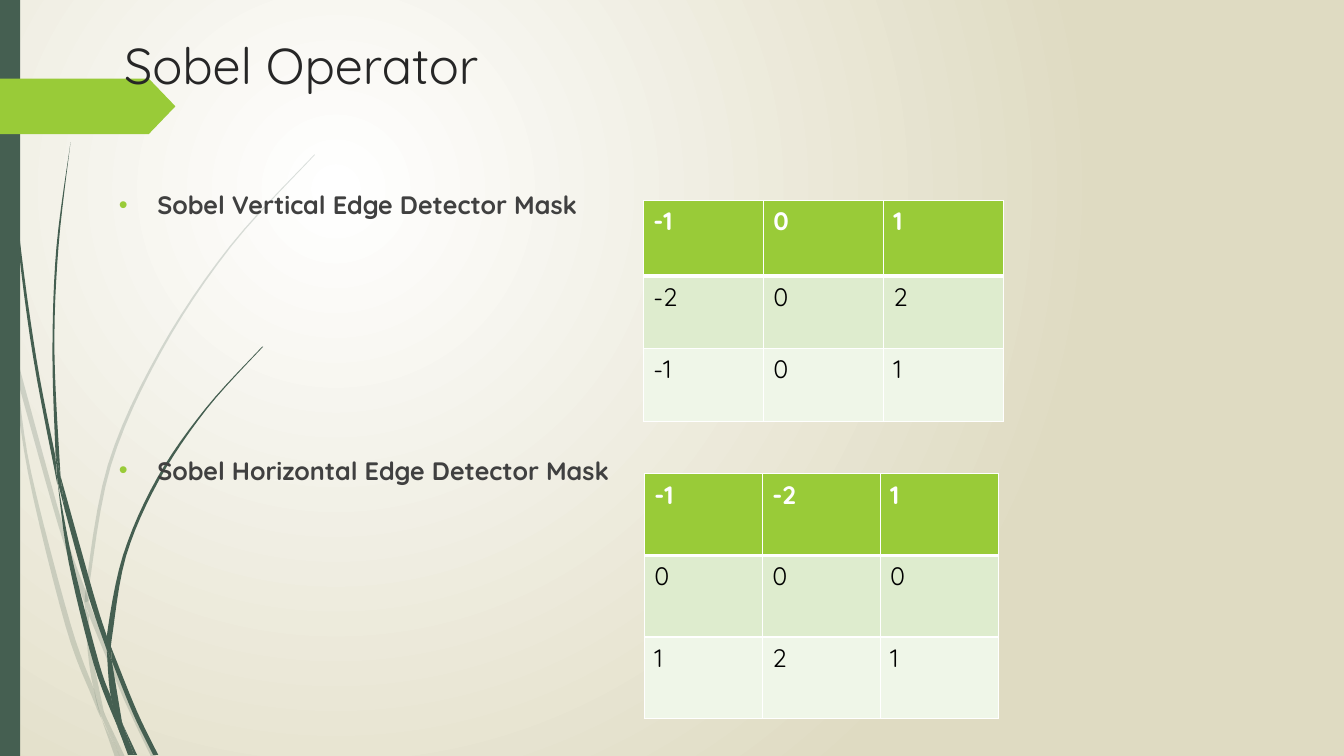
from dataclasses import dataclass

from lxml import etree
from pptx import Presentation
from pptx.dml.color import RGBColor
from pptx.enum.shapes import MSO_SHAPE
from pptx.enum.text import MSO_ANCHOR, MSO_AUTO_SIZE, PP_ALIGN
from pptx.oxml.ns import qn
from pptx.util import Inches, Pt

RECTANGLE, TAB = MSO_SHAPE.RECTANGLE, MSO_SHAPE.PENTAGON
TOP, LEFT, NO_FIT = MSO_ANCHOR.TOP, PP_ALIGN.LEFT, MSO_AUTO_SIZE.NONE


@dataclass(frozen=True)
class Theme:
    font: str = "Quicksand"
    title_size: int = 36
    text_size: int = 18
    title: str = "262626"
    body: str = "404040"
    black: str = "000000"
    white: str = "FFFFFF"
    sand: str = "DFDBC2"
    forest: str = "455F51"
    lime: str = "99CB38"
    light_band: str = "DEECCE"
    pale_band: str = "EFF6E8"


THEME = Theme()


def write(paragraph, text, size=THEME.text_size, color=THEME.body, bold=False):
    run = paragraph.add_run()
    run.text = text
    run.font.name = THEME.font
    run.font.size = Pt(size)
    run.font.bold = bold
    run.font.color.rgb = RGBColor.from_string(color)
    paragraph.alignment = LEFT


def smooth(knots, steps=6):
    """Points of a Catmull-Rom curve through the knots, in EMU."""
    padded = [knots[0], *knots, knots[-1]]
    points = []
    for a, b, c, d in zip(padded, padded[1:], padded[2:], padded[3:]):
        for t in (step / steps for step in range(steps)):
            points.append(tuple(
                Inches(q + t * (r - p + t * (2 * p - 5 * q + 4 * r - s
                                             + t * (3 * q - p - 3 * r + s))) / 2)
                for p, q, r, s in zip(a, b, c, d)))
    return points + [tuple(Inches(v) for v in knots[-1])]


prs = Presentation()
prs.slide_width, prs.slide_height = Inches(13.33), Inches(7.5)
slide = prs.slides.add_slide(prs.slide_layouts[1])
shapes = slide.shapes

# Background: glow centred in the upper left
glow = slide.background.fill
glow.gradient()
for stop, position, color in zip(glow.gradient_stops, (0, 1), (THEME.white, THEME.sand)):
    stop.position = position
    stop.color.rgb = RGBColor.from_string(color)
gradient = slide.element.find(".//" + qn("a:gradFill"))
gradient.remove(gradient.find(qn("a:lin")))
circle = etree.SubElement(gradient, qn("a:path"), path="circle")
etree.SubElement(circle, qn("a:fillToRect"), l="50000", t="50000", r="100000", b="100000")

# Grass: each blade section has one edge out and one edge back
pale_grass = [
    ([(0.11, 3.5), (0.09, 3.22), (0, 2.82)], [(0, 2.99), (0.1, 3.44)]),
    ([(0.17, 3.76), (0.58, 5.22), (0.84, 5.99)], [(0.85, 5.86), (0.62, 5.2), (0.14, 3.45)]),
    ([(0.88, 6.1), (1.23, 6.94), (1.5, 7.51)],
     [(1.55, 7.51), (1.27, 6.92), (0.92, 6.07), (0.88, 5.96)]),
    ([(1.19, 7.51), (1.24, 7.51)], [(1.05, 7.11)]),
    ([(0.93, 6.83), (0.7, 6.19), (0.31, 4.69), (0.17, 3.76), (0.11, 3.5)],
     [(0.11, 3.5), (0.28, 4.7), (0.65, 6.21), (0.92, 6.93), (1.01, 7.14)]),
    ([(0.84, 5.99), (0.87, 6.46), (0.93, 6.83), (1.05, 7.11)],
     [(1.03, 7.06), (0.91, 6.46), (0.88, 6.1)]),
    ([(0.88, 5.84), (1.1, 4.62), (1.6, 3.49), (2.29, 2.45), (3.12, 1.54)],
     [(3.12, 1.53), (2.28, 2.44), (1.58, 3.48), (1.07, 4.61), (0.85, 5.84), (0.88, 5.96)]),
    ([(1.01, 7.14), (1.14, 7.51)], [(1.19, 7.51)]),
    ([(0.88, 6.08), (0.88, 5.96)], [(0.85, 5.86), (0.84, 5.99)]),
    ([(0.93, 6.83), (0.99, 7.07), (1.19, 7.51)], [(1.05, 7.11), (0.96, 6.92)]),
]
dark_grass = [
    ([(0.03, 0), (0.07, 1.1), (0.17, 2.33), (0.33, 3.55), (0.57, 4.81)],
     [(0.55, 4.53), (0.36, 3.55), (0.19, 2.32), (0.08, 1.09), (0.04, 0)]),
    ([(0.64, 5.05), (0.88, 5.92), (1.06, 6.45)], [(1.06, 6.31), (0.93, 5.9), (0.6, 4.72)]),
    ([(1.11, 6.56), (1.32, 7.08), (1.52, 7.49)],
     [(1.57, 7.49), (1.36, 7.06), (1.13, 6.49), (1.1, 6.41)]),
    ([(1.1, 6.91), (0.98, 6.57), (0.72, 5.56), (0.57, 4.77)],
     [(0.57, 4.77), (0.68, 5.57), (0.93, 6.59), (1.17, 7.22)]),
    ([(0.6, 4.72), (0.54, 3.49), (0.58, 2.45), (0.7, 1.41)],
     [(0.7, 1.41), (0.56, 2.45), (0.52, 3.49), (0.55, 4.49)]),
    ([(1.33, 7.49), (1.36, 7.49)], [(1.22, 7.19)]),
    ([(0.57, 4.77), (0.64, 5.05)], [(0.6, 4.72), (0.55, 4.49)]),
    ([(1.11, 6.33), (1.25, 5.52), (1.58, 4.76), (2.05, 4.06), (2.61, 3.44)],
     [(2.6, 3.44), (2.04, 4.05), (1.56, 4.74), (1.22, 5.51), (1.06, 6.31), (1.1, 6.41)]),
    ([(1.17, 7.22), (1.27, 7.49)], [(1.31, 7.49)]),
    ([(1.06, 6.45), (1.1, 6.91), (1.22, 7.19)], [(1.21, 7.16), (1.11, 6.56)]),
    ([(1.06, 6.45), (1.11, 6.56)], [(1.1, 6.41), (1.06, 6.31)]),
    ([(1.1, 6.91), (1.17, 7.22), (1.3, 7.49)], [(1.33, 7.49), (1.22, 7.19)]),
]
decorations = []
for opacity, grass in ((20, pale_grass), (100, dark_grass)):
    for edge_out, edge_back in grass:
        outline = smooth(edge_out) + smooth(edge_back)
        builder = shapes.build_freeform(*outline[0])
        builder.add_line_segments(outline[1:])
        decorations.append((builder.convert_to_shape(), THEME.forest, opacity))

# Side bar and tab
side_bar = shapes.add_shape(RECTANGLE, 0, 0, Inches(0.2), Inches(7.5))
tab = shapes.add_shape(TAB, 0, Inches(0.78), Inches(1.74), Inches(0.55))
tab.adjustments[0] = 0.48
decorations += [(side_bar, THEME.forest, 100), (tab, THEME.lime, 100)]

for decoration, color, opacity in decorations:
    decoration.shadow.inherit = False
    decoration.line.fill.background()
    decoration.fill.solid()
    decoration.fill.fore_color.rgb = RGBColor.from_string(color)
    if opacity < 100:
        tint = decoration.element.spPr.find(".//" + qn("a:srgbClr"))
        etree.SubElement(tint, qn("a:alpha"), val=str(opacity * 1000))

# Title and mask names, in front of the decoration
heading, mask_names = shapes.title, slide.placeholders[1]
for holder, box in ((heading, (1.13, 0.29, 9.75, 1.4)), (mask_names, (1.08, 1.83, 11.5, 4.63))):
    holder.left, holder.top, holder.width, holder.height = map(Inches, box)
    holder.text_frame.vertical_anchor = TOP
    holder.text_frame.auto_size = NO_FIT
    holder.text_frame.word_wrap = True
    shapes.element.append(holder.element)

write(heading.text_frame.paragraphs[0], "Sobel Operator",
      size=THEME.title_size, color=THEME.title)

names = mask_names.text_frame
for name, paragraph, gap in (
        ("Sobel Vertical Edge Detector Mask", names.paragraphs[0], 0),
        ("Sobel Horizontal Edge Detector Mask", names.add_paragraph(), 168)):
    write(paragraph, name, bold=True)
    paragraph.space_before = Pt(gap)
    properties = paragraph._p.get_or_add_pPr()
    properties.set("marL", str(Inches(0.38)))
    properties.set("indent", str(-Inches(0.38)))
    bullet_color = etree.SubElement(properties, qn("a:buClr"))
    etree.SubElement(bullet_color, qn("a:srgbClr"), val=THEME.lime)
    etree.SubElement(properties, qn("a:buFont"), typeface="Arial")
    etree.SubElement(properties, qn("a:buChar"), char="•")

# Mask tables: left, top, column width, row heights, values
masks = [
    (6.38, 1.99, 1.19, (0.75, 0.72, 0.72), [(-1, 0, 1), (-2, 0, 2), (-1, 0, 1)]),
    (6.39, 4.7, 1.17, (0.81, 0.81, 0.81), [(-1, -2, 1), (0, 0, 0), (1, 2, 1)]),
]
# Fill, text colour, bold, and border widths above and below
row_styles = [(THEME.lime, THEME.white, True, 1, 3),
              (THEME.light_band, THEME.black, False, 3, 1),
              (THEME.pale_band, THEME.black, False, 1, 1)]
for left, top, column_width, row_heights, values in masks:
    mask = shapes.add_table(3, 3, Inches(left), Inches(top), Inches(3 * column_width),
                            Inches(sum(row_heights))).table
    for column in mask.columns:
        column.width = Inches(column_width)
    for row, height, weights, (fill, color, bold, above, below) in zip(
            mask.rows, row_heights, values, row_styles):
        row.height = Inches(height)
        for cell, weight in zip(row.cells, weights):
            write(cell.text_frame.paragraphs[0], str(weight), color=color, bold=bold)
            borders = cell._tc.get_or_add_tcPr()
            for side, width in (("L", 1), ("R", 1), ("T", above), ("B", below)):
                border = etree.SubElement(borders, qn("a:ln" + side), w=str(Pt(width)))
                border_fill = etree.SubElement(border, qn("a:solidFill"))
                etree.SubElement(border_fill, qn("a:srgbClr"), val=THEME.white)
            cell.fill.solid()
            cell.fill.fore_color.rgb = RGBColor.from_string(fill)

prs.save("out.pptx")
